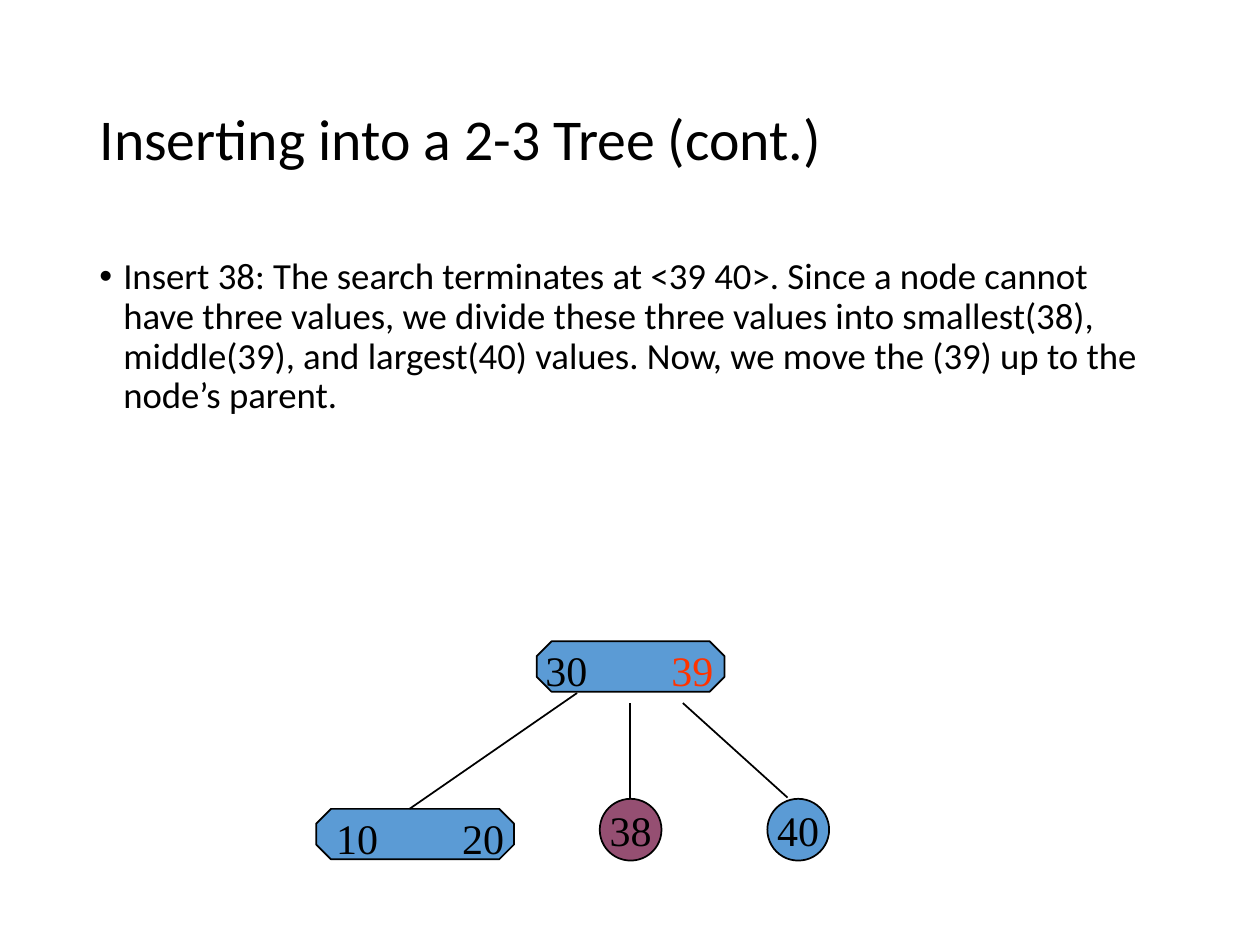
from pptx import Presentation
from pptx.dml.color import RGBColor
from pptx.enum.shapes import MSO_CONNECTOR as Link, MSO_SHAPE as Shape
from pptx.enum.text import MSO_ANCHOR as Anchor, MSO_AUTO_SIZE as Fit, PP_ALIGN as Align
from pptx.oxml.ns import qn
from pptx.util import Inches, Pt
from lxml.etree import SubElement

BLACK, BLUE, PLUM, RED = "000000", "5B9BD5", "954F72", "FF3300"
SANS, SERIF = "Calibri", "Times New Roman"


def color(hexa):
    return RGBColor.from_string(hexa)


def style(para, text, size, face, hexa=BLACK, align=Align.LEFT):
    para.text = text
    para.alignment = align
    font = para.font
    font.size, font.name = Pt(size), face
    font.color.rgb = color(hexa)


def title(slide, text, box):
    head = slide.shapes.title
    head.left, head.top, head.width, head.height = map(Inches, box)
    frame = head.text_frame
    frame.auto_size = Fit.NONE
    frame.vertical_anchor = Anchor.MIDDLE
    style(frame.paragraphs[0], text, 33, SANS)
    frame.paragraphs[0].line_spacing = 0.9


def bullet(slide, text, box):
    frame = slide.shapes.add_textbox(*map(Inches, box)).text_frame
    frame.word_wrap = True
    para = frame.paragraphs[0]
    style(para, text, 21, SANS)
    para.line_spacing, para.space_before = 0.9, Pt(7.5)
    props = para._p.get_or_add_pPr()
    props.set("marL", str(Inches(0.19)))
    props.set("indent", str(-Inches(0.19)))
    SubElement(props, qn("a:buFont")).set("typeface", "Arial")
    SubElement(props, qn("a:buChar")).set("char", "•")


def outline(slide, kind, box, fill):
    shape = slide.shapes.add_shape(kind, *map(Inches, box))
    shape.shadow.inherit = False
    shape.fill.solid()
    shape.fill.fore_color.rgb = color(fill)
    shape.line.color.rgb = color(BLACK)
    shape.line.width = Pt(1)
    return shape


def leaf(slide, key, x, y, fill):
    """Round node holding one key."""
    frame = outline(slide, Shape.OVAL, (x, y, 0.49, 0.49), fill).text_frame
    frame.word_wrap = False
    frame.vertical_anchor = Anchor.MIDDLE
    style(frame.paragraphs[0], key, 24, SERIF, align=Align.CENTER)


def pair(slide, x, y, wide, keys):
    """Octagon node; keys are (text, offset from its left edge, colour)."""
    outline(slide, Shape.OCTAGON, (x, y, wide, 0.4), BLUE).adjustments[0] = 0.293
    for key, dx, hexa in keys:
        box = (x + dx, y - 0.02, 0.54, 0.5)
        frame = slide.shapes.add_textbox(*map(Inches, box)).text_frame
        frame.word_wrap = False
        style(frame.paragraphs[0], key, 24, SERIF, hexa)


def edge(slide, *ends):
    line = slide.shapes.add_connector(Link.STRAIGHT, *map(Inches, ends))
    line.line.color.rgb = color(BLACK)
    line.line.width = Pt(1)
    SubElement(line._element.spPr, qn("a:effectLst"))


def tree(slide, x, y):
    """2-3 tree with its top left corner at x, y."""
    leaf(slide, "38", x + 2.25, y + 1.25, PLUM)
    leaf(slide, "40", x + 3.58, y + 1.25, BLUE)
    pair(slide, x, y + 1.33, 1.57, [("10", 0.06, BLACK), ("20", 1.06, BLACK)])
    pair(slide, x + 1.75, y, 1.49, [("30", -0.03, BLACK), ("39", 0.97, RED)])
    for x1, y1, x2, y2 in [(2.07, 0.41, 0.74, 1.33),
                           (2.49, 0.49, 2.49, 1.24),
                           (2.91, 0.49, 3.74, 1.24)]:
        edge(slide, x + x1, y + y1, x + x2, y + y2)


def main():
    deck = Presentation()
    deck.slide_width, deck.slide_height = Inches(10), Inches(7.5)
    slide = deck.slides.add_slide(deck.slide_layouts[5])
    title(slide, "Inserting into a 2-3 Tree (cont.)", (0.69, 0.4, 8.63, 1.45))
    bullet(slide, "Insert 38: The search terminates at <39 40>. Since a node cannot "
           "have three values, we divide these three values into smallest(38), "
           "middle(39), and largest(40) values. Now, we move the (39) up to the "
           "node’s parent.", (0.69, 2, 8.63, 4.76))
    tree(slide, 2.51, 5.09)
    deck.save("out.pptx")


if __name__ == "__main__":
    main()
